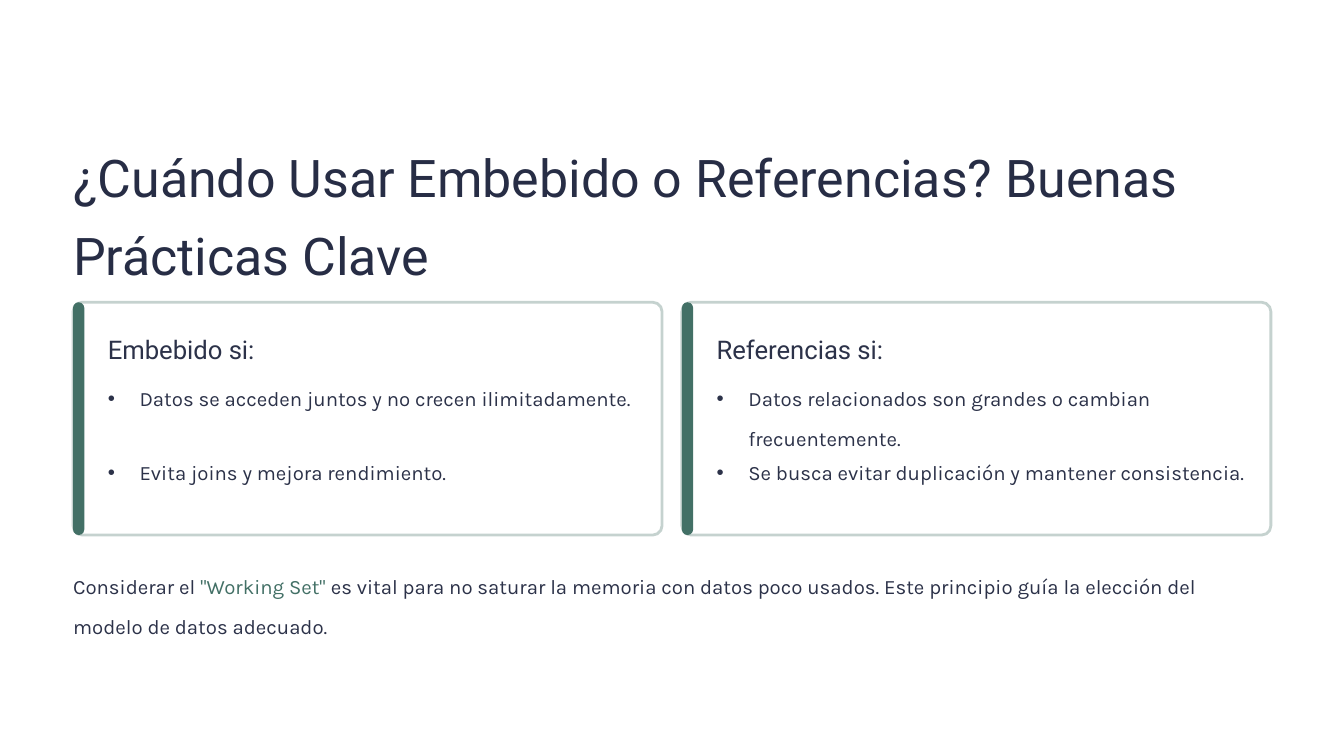
from lxml import etree
from pptx import Presentation
from pptx.dml.color import RGBColor
from pptx.enum import shapes, text
from pptx.oxml import ns
from pptx.util import Cm, Pt

COLOURS = {
    "title": "272D45",
    "body": "2C3249",
    "accent": "437066",
    "border": "C5D2CF",
    "card": "FFFFFF",
}
LEFT, WIDTH = 2.21, 36.22
CARD_TOP, CARD_WIDTH, CARD_HEIGHT = 9.14, 17.81, 7.04
CARDS = [
    ("Embebido si:", [
        "Datos se acceden juntos y no crecen ilimitadamente.",
        "Evita joins y mejora rendimiento.",
    ]),
    ("Referencias si:", [
        "Datos relacionados son grandes o cambian frecuentemente.",
        "Se busca evitar duplicación y mantener consistencia.",
    ]),
]
NOTE = [
    ("Considerar el ", "body"),
    ('"Working Set"', "accent"),
    (" es vital para no saturar la memoria con datos poco usados. "
     "Este principio guía la elección del modelo de datos adecuado.", "body"),
]


def colour(name):
    return RGBColor.from_string(COLOURS[name])


def place(box, left, top, width, height):
    box.left, box.top, box.width, box.height = map(Cm, (left, top, width, height))


def add_bullet(para):
    properties = para._p.get_or_add_pPr()
    properties.set("marL", str(Cm(0.96)))
    properties.set("indent", str(-Cm(0.96)))
    bullet_colour = etree.SubElement(properties, ns.qn("a:buClr"))
    etree.SubElement(bullet_colour, ns.qn("a:srgbClr"), val=COLOURS["body"])
    etree.SubElement(properties, ns.qn("a:buFont"), typeface="Arial")
    etree.SubElement(properties, ns.qn("a:buChar"), char="•")


def write(box, spans, font, size, spacing, bullet=False):
    frame = box.text_frame
    frame.word_wrap = True
    frame.auto_size = text.MSO_AUTO_SIZE.NONE
    frame.vertical_anchor = text.MSO_ANCHOR.TOP
    frame.margin_left = frame.margin_right = 0
    frame.margin_top = frame.margin_bottom = 0
    para = frame.paragraphs[0]
    if bullet:
        add_bullet(para)
    para.alignment = text.PP_ALIGN.LEFT
    para.line_spacing = spacing
    para.font.name = font
    para.font.size = Pt(size)
    for words, name in spans:
        span = para.add_run()
        span.text = words
        span.font.color.rgb = colour(name)


def add_text(page, left, top, width, height, *style, **options):
    box = page.shapes.add_textbox(*map(Cm, (left, top, width, height)))
    write(box, *style, **options)


def add_panel(page, left, top, width, height, radius, fill, border=None):
    panel = page.shapes.add_shape(
        shapes.MSO_SHAPE.ROUNDED_RECTANGLE, *map(Cm, (left, top, width, height)))
    panel.adjustments[0] = radius
    panel.shadow.inherit = False
    panel.fill.solid()
    panel.fill.fore_color.rgb = colour(fill)
    if border:
        panel.line.color.rgb = colour(border)
        panel.line.width = Pt(2.4)
    else:
        panel.line.fill.background()


def add_title(page, left, top, width, height):
    title = page.shapes.title
    place(title, left, top, width, height)
    words = "¿Cuándo Usar Embebido o Referencias? Buenas Prácticas Clave"
    write(title, [(words, "title")], "Roboto", 44.5, 1.25)


def add_card(page, left, top, width, height, heading, points):
    add_panel(page, left, top, width, height, 0.04, "card", "border")
    add_panel(page, left, top, 0.34, height, 0.5, "accent")
    inner = left + 1.05
    add_text(page, inner, top + 0.71, 7.87, 0.99,
             [(heading, "body")], "Roboto", 22, 1.25)
    for row, point in enumerate(points):
        add_text(page, inner, top + 2.08 + row * 2.24, 16.03, 2.01,
                 [(point, "body")], "Karla", 17.5, 1.63, bullet=True)


def add_note(page, left, top, width, height):
    add_text(page, left, top, width, height, NOTE, "Karla", 17.5, 1.63)


def main():
    deck = Presentation()
    deck.slide_width, deck.slide_height = Cm(40.64), Cm(22.86)
    page = deck.slides.add_slide(deck.slide_layouts[5])
    add_title(page, LEFT, 3.94, WIDTH, 3.94)
    step = WIDTH - CARD_WIDTH
    for column, (heading, points) in enumerate(CARDS):
        add_card(page, LEFT + column * step, CARD_TOP, CARD_WIDTH, CARD_HEIGHT,
                 heading, points)
    add_note(page, LEFT, 16.89, WIDTH, 2.01)
    deck.save("out.pptx")


if __name__ == "__main__":
    main()
